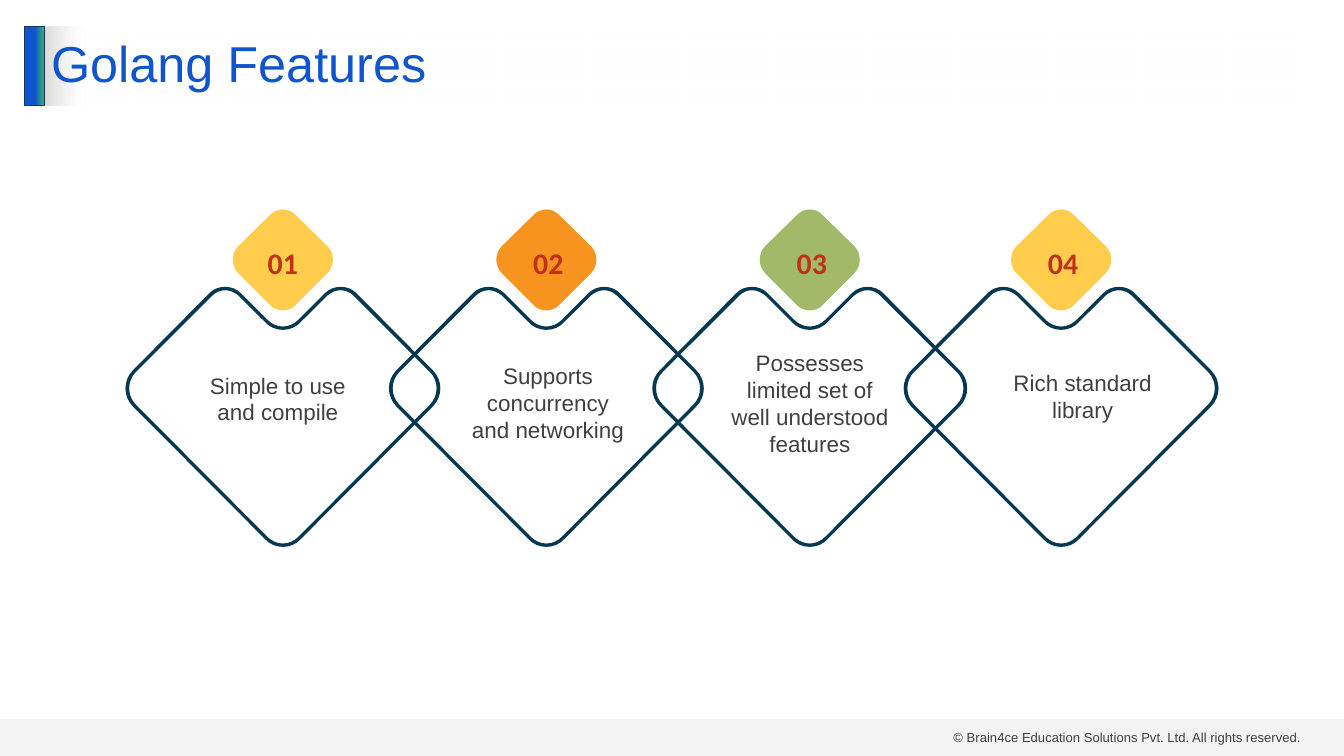
from lxml import etree
from pptx import Presentation
from pptx import util as u
from pptx.dml import color
from pptx.enum import shapes, text
from pptx.oxml import ns

NAVY, BLUE, GREY, RED = "063951", "1155CC", "404040", "C13018"
CARD_TOP, BADGE_TOP, NUMBER_TOP, NUMBER_SIZE = 307.4, 223.9, 259, (47.5, 46)

CARD_OUTER = [
    [(0, 42.5)], [(6.5, 42.5), (12.2, 39.6), (16.6, 35.3)],
    [(45.4, 6.5)], [(49.7, 2.2), (55.4, 0), (61.9, 0)],
    [(68.4, 0), (74.2, 2.2), (78.5, 6.5)],
    [(160.6, 89.3)], [(171.4, 100.1), (171.4, 117.4), (160.6, 128.2)],
    [(19.4, 270)], [(14.4, 275.8), (7.2, 278.6), (0, 278.6)],
]
CARD_INNER = [
    [(0, 46.1)], [(7.2, 46.1), (14.4, 43.2), (19.4, 37.4)],
    [(47.5, 9.4)], [(51.8, 5.8), (56.9, 3.6), (61.9, 3.6)],
    [(66.9, 3.6), (72, 5.8), (75.6, 9.4)],
    [(157.7, 91.4)], [(167, 100.8), (167, 116.6), (157.7, 126)],
    [(16.6, 267.8)], [(11.9, 272.5), (5.8, 275), (0, 275)],
]
BADGE = [
    [(0, 0.5)], [(5, 0.5), (10, 2.5), (13.7, 6.5)],
    [(48.2, 40.3)], [(55.4, 48.2), (55.4, 60.5), (48.2, 68.4)],
    [(13.7, 103)], [(10, 107), (5, 108.7), (0, 108.7)],
]

FEATURES = [
    ("01", "Simple to use and compile", "FFCC4C", 303.1, 303.1, (212.4, 393.8, 170.6, 65.5)),
    ("02", "Supports concurrency and networking", "F7931F", 585.4, 587.5, (501.8, 383.8, 170.6, 94.3)),
    ("03", "Possesses limited set of well understood features", "A2B969", 867.6, 869.8,
     (779.8, 369.4, 175.7, 123.8)),
    ("04", "Rich standard library", "FFCC4C", 1136.9, 1139, (1059.8, 391, 200.2, 65.5)),
]


def rgb(value):
    return color.RGBColor.from_string(value)


def set_alpha(fill_element, percent):
    colour = list(fill_element.iter(ns.qn("a:srgbClr")))[-1]
    etree.SubElement(colour, ns.qn("a:alpha"), val=str(percent * 1000))


def fill_gradient(shape, stops):
    shape.fill.gradient()
    shape.fill.gradient_angle = 0
    for stop, (position, value) in zip(shape.fill.gradient_stops, stops):
        stop.position = position
        stop.color.rgb = rgb(value)


def place(shape, left, top, width, height):
    shape.left, shape.top = u.Pt(left), u.Pt(top)
    shape.width, shape.height = u.Pt(width), u.Pt(height)


def write(frame, content, size, value, font="Arial", bold=False, align=text.PP_ALIGN.LEFT,
          anchor=text.MSO_ANCHOR.TOP, wrap=True, side_margin=7.2, spacing=None):
    frame.auto_size = text.MSO_AUTO_SIZE.NONE
    frame.word_wrap = wrap
    frame.vertical_anchor = anchor
    frame.margin_left = frame.margin_right = u.Pt(side_margin)
    para = frame.paragraphs[0]
    para.alignment = align
    if spacing:
        para.line_spacing = spacing
    span = para.add_run()
    span.text = content
    span.font.name, span.font.size, span.font.bold = font, u.Pt(size), bold
    span.font.color.rgb = rgb(value)


def add_label(page, bounds, content, size, value, **style):
    box = page.shapes.add_textbox(*map(u.Pt, bounds))
    write(box.text_frame, content, size, value, **style)


def add_bar(page, *bounds):
    bar = page.shapes.add_shape(shapes.MSO_SHAPE.RECTANGLE, *map(u.Pt, bounds))
    bar.shadow.inherit = False
    return bar


def symmetric_contour(half):
    mirrored = []
    for before, part in zip(half[-2::-1], half[:0:-1]):
        points = part[-2::-1] + [before[-1]]
        mirrored.append([(-x, y) for x, y in points])
    return half + mirrored


def bend_segments(outline, parts):
    segments = iter(list(outline.element.iter(ns.qn("a:lnTo"))))
    for part in parts:
        first, *others = [next(segments) for point in part]
        for other in others:
            first.append(other[0])
            other.getparent().remove(other)
        if others:
            first.tag = ns.qn("a:cubicBezTo")


def add_outline(page, center, top, halves, value):
    builder, bends = None, []
    for half in halves:
        start, *parts = symmetric_contour(half)
        points = [(u.Pt(center + x), u.Pt(top + y)) for part in [start, *parts] for x, y in part]
        if builder is None:
            builder = page.shapes.build_freeform(*points[0])
        else:
            builder.move_to(*points[0])
        builder.add_line_segments(points[1:], close=True)
        bends += parts
    outline = builder.convert_to_shape()
    bend_segments(outline, bends)
    outline.shadow.inherit = False
    outline.fill.solid()
    outline.fill.fore_color.rgb = rgb(value)
    outline.line.fill.background()


def add_title(page, content):
    title = page.shapes.title
    place(title, 47.5, 28.1, 1344.2, 85)
    fill_gradient(title, [(0, "D9D9D9"), (0.03, "FFFFFF")])
    set_alpha(title.element.spPr, 50)
    write(title.text_frame, content, 54, BLUE, anchor=text.MSO_ANCHOR.MIDDLE, spacing=0.9)


def add_frame(page):
    accent = add_bar(page, 26.6, 28.1, 21.6, 85)
    fill_gradient(accent, [(0.51, BLUE), (0.9, "2EA87D")])
    accent.line.color.rgb = rgb("1E3256")
    accent.line.width = u.Pt(1)
    footer = add_bar(page, 0, 770.4, 1440, 39.6)
    footer.fill.solid()
    footer.fill.fore_color.rgb = rgb("D9D9D9")
    set_alpha(footer.element.spPr, 29)
    footer.line.fill.background()
    add_label(page, (1014.5, 777.6, 389.5, 24.5),
              "© Brain4ce Education Solutions Pvt. Ltd. All rights reserved.", 14, GREY)


def add_feature(page, number, content, value, center, number_center, bounds):
    add_outline(page, center, CARD_TOP, [CARD_OUTER, CARD_INNER], NAVY)
    add_outline(page, center, BADGE_TOP, [BADGE], value)
    add_label(page, bounds, content, 24, GREY, align=text.PP_ALIGN.CENTER,
              anchor=text.MSO_ANCHOR.BOTTOM, side_margin=0)
    add_label(page, (number_center - NUMBER_SIZE[0] / 2, NUMBER_TOP, *NUMBER_SIZE), number, 32, RED,
              font="Calibri", bold=True, align=text.PP_ALIGN.CENTER, wrap=False)


def main():
    deck = Presentation()
    deck.slide_width, deck.slide_height = u.Pt(1440), u.Pt(810)
    page = deck.slides.add_slide(deck.slide_layouts[5])
    add_title(page, "Golang Features")
    add_frame(page)
    for feature in FEATURES:
        add_feature(page, *feature)
    deck.save("out.pptx")


if __name__ == "__main__":
    main()
